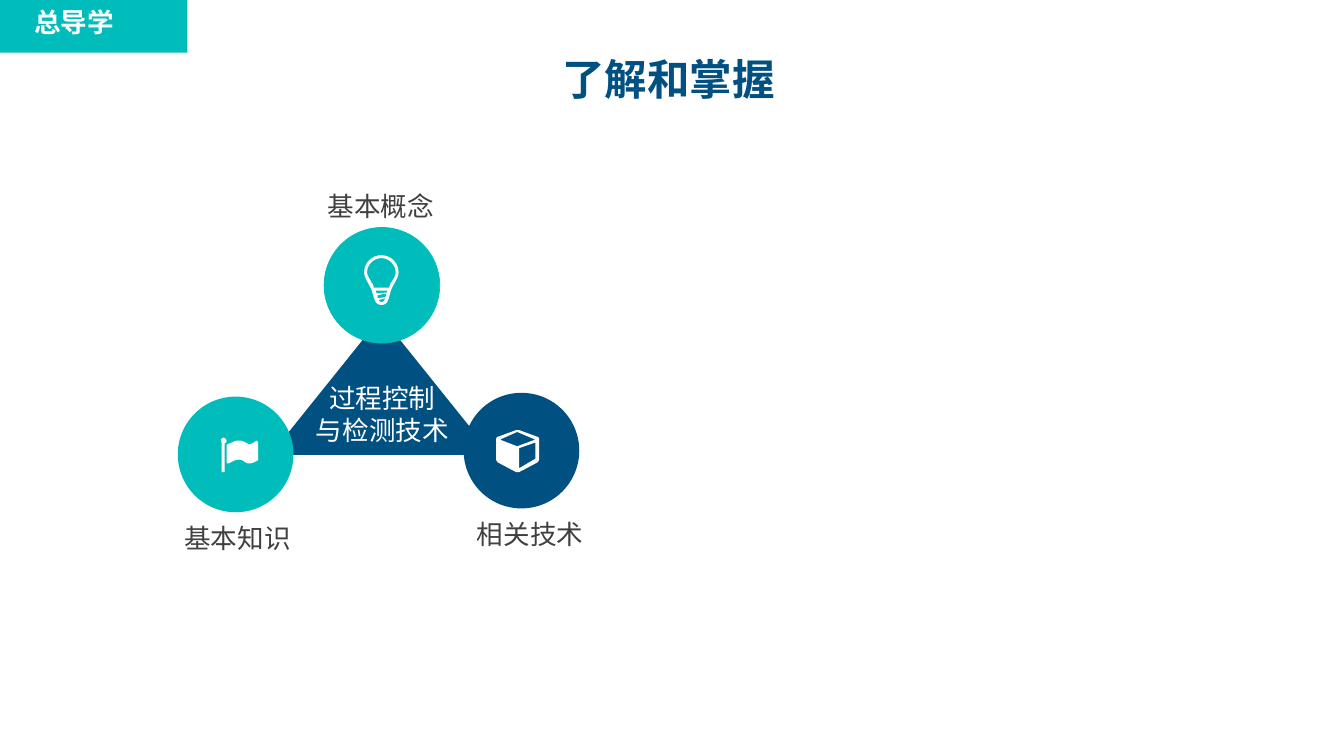
from lxml.etree import SubElement
from pptx import Presentation
from pptx.dml.color import RGBColor
from pptx.enum.shapes import MSO_SHAPE
from pptx.enum.text import MSO_AUTO_SIZE, PP_ALIGN
from pptx.oxml.ns import qn
from pptx.util import Inches, Pt

TEAL, NAVY, WHITE, GREY = "00BDBC", "005081", "FFFFFF", "404040"
SANS = "Noto Sans CJK SC"
CIRCLE_SIZE = 1.21
CURVE_STEPS = 8

BULB = [
    [(3.99, 2.67), (3.89, 2.67, 3.81, 2.75, 3.81, 2.85), (3.81, 2.91, 3.87, 2.98, 3.89, 3.04),
     (3.92, 3.13, 3.92, 3.19, 3.99, 3.19), (4.06, 3.19, 4.06, 3.14, 4.09, 3.04),
     (4.11, 2.98, 4.17, 2.91, 4.17, 2.85), (4.17, 2.75, 4.09, 2.67, 3.99, 2.67)],
    [(4.03, 3.11), (3.95, 3.12), (3.95, 3.09), (4.04, 3.07), (4.04, 3.09)],
    [(3.94, 3.07), (3.93, 3.04), (4.05, 3.04), (4.05, 3.06)],
    [(3.99, 3.16), (3.98, 3.16, 3.97, 3.15, 3.96, 3.14), (4.03, 3.12),
     (4.02, 3.15, 4.01, 3.16, 3.99, 3.16)],
    [(4.07, 3.01), (3.91, 3.01), (3.91, 2.99, 3.9, 2.97, 3.89, 2.96),
     (3.87, 2.92, 3.84, 2.88, 3.84, 2.85), (3.84, 2.77, 3.91, 2.7, 3.99, 2.7),
     (4.07, 2.7, 4.14, 2.77, 4.14, 2.85), (4.14, 2.88, 4.12, 2.92, 4.09, 2.96),
     (4.08, 2.97, 4.08, 2.99, 4.07, 3.01)],
]
FLAG = [
    [(2.35, 4.64), (2.35, 4.94), (2.32, 4.94), (2.32, 4.64),
     (2.32, 4.63, 2.31, 4.62, 2.31, 4.61), (2.31, 4.6, 2.32, 4.58, 2.34, 4.58),
     (2.35, 4.58, 2.37, 4.6, 2.37, 4.61), (2.37, 4.62, 2.37, 4.63, 2.35, 4.64)],
    [(2.7, 4.81), (2.7, 4.81, 2.7, 4.82, 2.69, 4.82), (2.66, 4.84, 2.63, 4.85, 2.6, 4.85),
     (2.57, 4.85, 2.55, 4.81, 2.5, 4.81), (2.46, 4.81, 2.43, 4.83, 2.39, 4.85),
     (2.38, 4.85), (2.37, 4.84), (2.37, 4.67), (2.37, 4.66, 2.37, 4.65, 2.38, 4.65),
     (2.4, 4.64), (2.43, 4.63, 2.46, 4.61, 2.49, 4.61),
     (2.53, 4.61, 2.55, 4.62, 2.59, 4.64), (2.6, 4.65),
     (2.64, 4.65, 2.68, 4.61, 2.69, 4.61), (2.7, 4.63)],
]
CUBE = [
    [(5.64, 4.8), (5.64, 4.82, 5.63, 4.83, 5.62, 4.84), (5.43, 4.94), (5.4, 4.94),
     (5.21, 4.84), (5.2, 4.83, 5.19, 4.82, 5.19, 4.8), (5.19, 4.6),
     (5.19, 4.58, 5.2, 4.57, 5.21, 4.57), (5.4, 4.5), (5.43, 4.5), (5.62, 4.57),
     (5.63, 4.57, 5.64, 4.58, 5.64, 4.6)],
    [(5.6, 4.6), (5.41, 4.52), (5.23, 4.6), (5.41, 4.67)],
    [(5.6, 4.8), (5.6, 4.63), (5.43, 4.69), (5.43, 4.9)],
]


def color(value):
    return RGBColor.from_string(value)


def paint(shape, fill, line=None, width=1):
    shape.shadow.inherit = False
    shape.fill.solid()
    shape.fill.fore_color.rgb = color(fill)
    if line:
        shape.line.color.rgb = color(line)
        shape.line.width = Pt(width)
    else:
        shape.line.fill.background()


def add_preset(page, kind, place, fill, line=None, width=1):
    shape = page.shapes.add_shape(kind, *map(Inches, place))
    paint(shape, fill, line, width)


def add_circle(page, left, top, fill, line=None, width=1):
    place = (left, top, CIRCLE_SIZE, CIRCLE_SIZE)
    add_preset(page, MSO_SHAPE.OVAL, place, fill, line, width)


def curve_points(start, curve):
    knots = [start, curve[:2], curve[2:4], curve[4:]]
    points = []
    for step in range(1, CURVE_STEPS + 1):
        t = step / CURVE_STEPS
        weights = ((1 - t) ** 3, 3 * t * (1 - t) ** 2, 3 * t * t * (1 - t), t ** 3)
        points.append(tuple(sum(w * knot[axis] for w, knot in zip(weights, knots))
                            for axis in (0, 1)))
    return points


def contour_points(contour):
    points = [contour[0]]
    for step in contour[1:]:
        points += [step] if len(step) == 2 else curve_points(points[-1], step)
    return [(Inches(x), Inches(y)) for x, y in points]


def add_icon(page, contours):
    outlines = [contour_points(contour) for contour in contours]
    builder = page.shapes.build_freeform(*outlines[0][0])
    for index, outline in enumerate(outlines):
        if index:
            builder.move_to(*outline[0])
        builder.add_line_segments(outline[1:], close=True)
    paint(builder.convert_to_shape(), WHITE)


def add_text(page, place, lines, ink, font=SANS, size=20, bold=False,
             align=PP_ALIGN.LEFT, spacing=None, inset=None):
    frame = page.shapes.add_textbox(*map(Inches, place)).text_frame
    frame_format = {"word_wrap": True, "auto_size": MSO_AUTO_SIZE.SHAPE_TO_FIT_TEXT}
    if inset is not None:
        for side in ("left", "top", "right", "bottom"):
            frame_format[f"margin_{side}"] = Inches(inset)
    for name, value in frame_format.items():
        setattr(frame, name, value)
    for index, line in enumerate(lines):
        para = frame.add_paragraph() if index else frame.paragraphs[0]
        para.alignment = align
        para.line_spacing = spacing
        span = para.add_run()
        span.text = line
        for name, value in {"name": font, "size": Pt(size), "bold": bold}.items():
            setattr(span.font, name, value)
        span.font.color.rgb = color(ink)
        SubElement(span.font._element, qn("a:ea")).set("typeface", font)


def add_triangle_diagram(page):
    add_preset(page, MSO_SHAPE.ISOSCELES_TRIANGLE, (2.81, 3.3, 2.36, 1.47), NAVY, WHITE)
    add_circle(page, 1.86, 4.15, TEAL)
    add_circle(page, 4.85, 4.11, NAVY)
    add_circle(page, 3.39, 2.38, TEAL, TEAL, 0.5)
    for icon in (BULB, FLAG, CUBE):
        add_icon(page, icon)
    for label, left, top, width in (("基本概念", 3.33, 1.94, 1.46),
                                    ("基本知识", 1.83, 5.41, 1.52),
                                    ("相关技术", 4.89, 5.37, 1.38)):
        add_text(page, (left, top, width, 0.44), [label], GREY)
    add_text(page, (3.19, 3.95, 1.62, 0.77), ["过程控制", "与检测技术"], WHITE,
             align=PP_ALIGN.CENTER)


def add_section_tab(page):
    add_preset(page, MSO_SHAPE.RECTANGLE, (0, 0, 1.96, 0.55), TEAL)
    add_text(page, (0.26, 0.01, 1.43, 0.44), ["总导学"], WHITE,
             font="Noto Sans CJK JP", bold=True)


def main():
    deck = Presentation()
    deck.slide_width, deck.slide_height = Inches(14.06), Inches(7.91)
    page = deck.slides.add_slide(deck.slide_layouts[6])
    add_triangle_diagram(page)
    add_text(page, (3.09, 0.39, 7.81, 0.7), ["了解和掌握"], NAVY, font="Arial", size=32,
             bold=True, align=PP_ALIGN.CENTER, spacing=1.3, inset=0)
    add_section_tab(page)
    deck.save("out.pptx")


if __name__ == "__main__":
    main()
